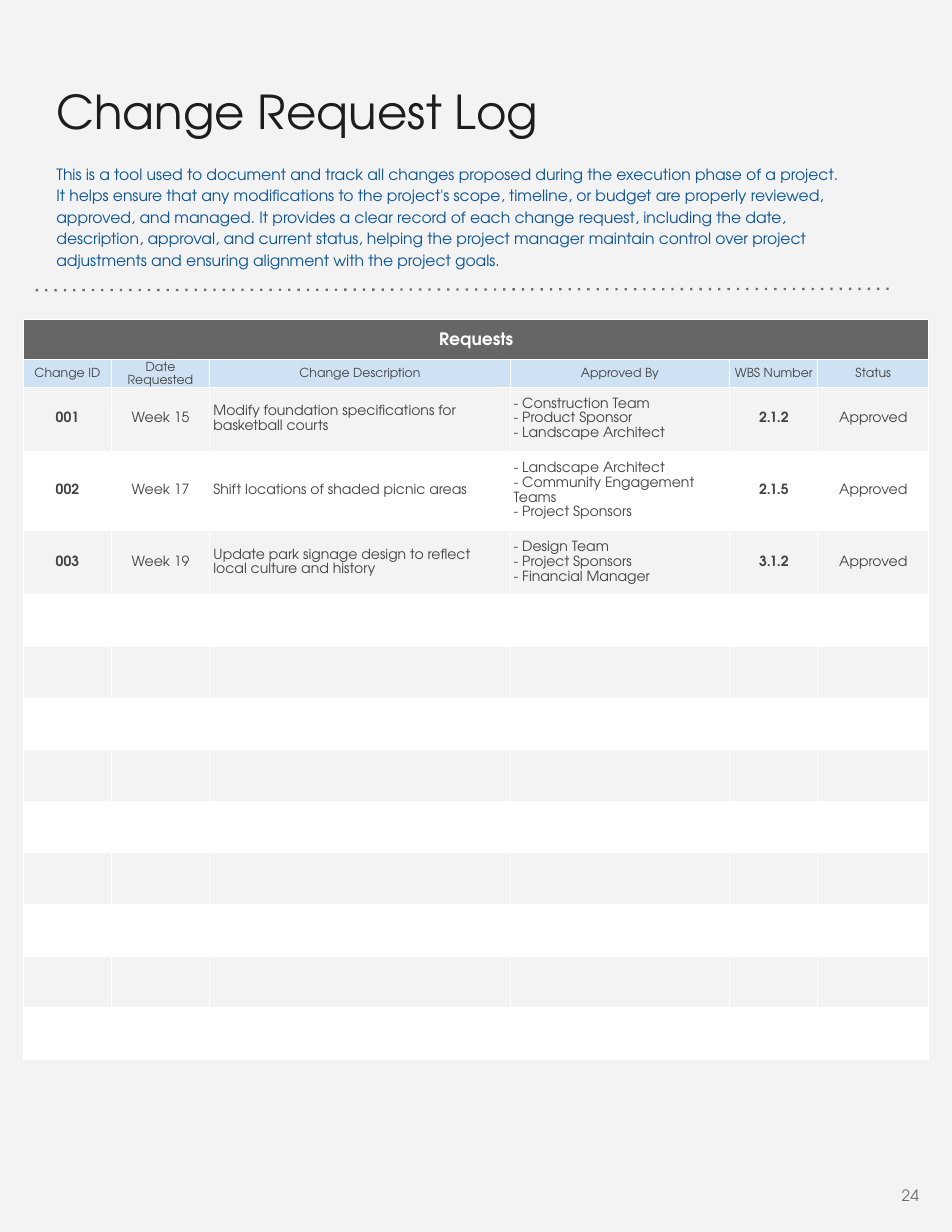
from dataclasses import dataclass

from lxml.etree import SubElement
from pptx import Presentation
from pptx.dml.color import RGBColor
from pptx.enum.shapes import MSO_CONNECTOR
from pptx.enum.text import MSO_ANCHOR, MSO_AUTO_SIZE, PP_ALIGN
from pptx.oxml import parse_xml
from pptx.oxml.ns import nsdecls, qn
from pptx.util import Cm, Pt


@dataclass(frozen=True)
class Theme:
    font: str = "TeX Gyre Adventor"
    background: str = "F3F3F3"
    white: str = "FFFFFF"
    title: str = "1D1D1D"
    intro: str = "0B5394"
    banner: str = "666666"
    heading: str = "CFE2F3"
    cell: str = "434343"
    muted: str = "6F6F6F"
    title_size: int = 30
    banner_size: int = 11
    text_size: int = 10
    cell_size: int = 9
    heading_size: int = 8


T = Theme()
INSET = 0.25
LINE_SPACING = 1.15

INTRO = (
    "This is a tool used to document and track all changes proposed during the execution phase "
    "of a project. It helps ensure that any modifications to the project's scope, timeline, or "
    "budget are properly reviewed, approved, and managed. It provides a clear record of each "
    "change request, including the date, description, approval, and current status, helping the "
    "project manager maintain control over project adjustments and ensuring alignment with the "
    "project goals."
)
HEADINGS = ["Change ID", "Date Requested", "Change Description", "Approved By", "WBS Number", "Status"]
REQUESTS = [
    ["001", "Week 15", "Modify foundation specifications for basketball courts",
     "- Construction Team\n- Product Sponsor\n- Landscape Architect", "2.1.2", "Approved"],
    ["002", "Week 17", "Shift locations of shaded picnic areas",
     "- Landscape Architect\n- Community Engagement Teams\n- Project Sponsors", "2.1.5", "Approved"],
    ["003", "Week 19", "Update park signage design to reflect local culture and history",
     "- Design Team\n- Project Sponsors\n- Financial Manager", "3.1.2", "Approved"],
]
EMPTY_ROWS = 9
COLUMN_WIDTHS = [1.98, 2.24, 6.81, 4.98, 2.0, 2.51]
ROW_HEIGHTS = [0.91, 0.61, 1.45, 1.8, 1.45] + [1.17] * EMPTY_ROWS
LEFT_COLUMNS = (2, 3)
BOLD_COLUMNS = (0, 4)


def set_text(tf, text, size, color, align=PP_ALIGN.LEFT, bold=False, spacing=1.0):
    tf.text = text
    for p in tf.paragraphs:
        p.alignment = align
        p.line_spacing = spacing
        p.space_before = Pt(0)
        p.font.name = T.font
        p.font.size = Pt(size)
        p.font.bold = bold
        p.font.color.rgb = RGBColor.from_string(color)


def place_text(sp, box, anchor, *text_args, **text_options):
    sp.left, sp.top, sp.width, sp.height = (Cm(v) for v in box)
    tf = sp.text_frame
    tf.word_wrap = True
    tf.auto_size = MSO_AUTO_SIZE.NONE
    tf.vertical_anchor = anchor
    tf.margin_left = tf.margin_right = tf.margin_top = tf.margin_bottom = Cm(INSET)
    set_text(tf, *text_args, **text_options)


def add_header(s, left, top, width):
    title_height = 1.81
    place_text(s.shapes.title, (left, top, width, title_height), MSO_ANCHOR.MIDDLE,
               "Change Request Log", T.title_size, T.title)
    place_text(s.placeholders[1], (left, top + title_height, width, 2.95), MSO_ANCHOR.TOP,
               INTRO, T.text_size, T.intro, spacing=LINE_SPACING)


def add_dotted_rule(s, left, top, width):
    rule = s.shapes.add_connector(MSO_CONNECTOR.STRAIGHT, Cm(left), Cm(top),
                                  Cm(left + width), Cm(top - 0.03))
    rule.line.color.rgb = RGBColor.from_string(T.muted)
    rule.line.width = Pt(1.5)
    SubElement(rule.line._get_or_add_ln(), qn("a:prstDash"), val="dot")
    SubElement(rule._element.spPr, qn("a:effectLst"))


def format_cell(cell, fill):
    cell.fill.solid()
    cell.fill.fore_color.rgb = RGBColor.from_string(fill)
    tcPr = cell._tc.get_or_add_tcPr()
    for i, side in enumerate(("lnL", "lnR", "lnT", "lnB")):
        tcPr.insert(i, parse_xml(
            f'<a:{side} {nsdecls("a")} w="{Pt(0.75)}"><a:solidFill>'
            f'<a:srgbClr val="{T.white}"/></a:solidFill></a:{side}>'))


def fill_cell(cell, text, margins, *text_args, **text_options):
    cell.vertical_anchor = MSO_ANCHOR.MIDDLE
    cell.margin_left = cell.margin_right = Cm(0.08)
    cell.margin_top, cell.margin_bottom = (Cm(m) for m in margins)
    set_text(cell.text_frame, text, *text_args, spacing=LINE_SPACING, **text_options)


def add_request_table(s, left, top):
    frame = s.shapes.add_table(len(ROW_HEIGHTS), len(COLUMN_WIDTHS), Cm(left), Cm(top),
                               Cm(sum(COLUMN_WIDTHS)), Cm(sum(ROW_HEIGHTS)))
    table = frame.table
    table.first_row = table.horz_banding = False
    for column, width in zip(table.columns, COLUMN_WIDTHS):
        column.width = Cm(width)
    for row, height in zip(table.rows, ROW_HEIGHTS):
        row.height = Cm(height)

    bands = [T.background, T.white]
    fills = [T.banner, T.heading] + [bands[i % 2] for i in range(len(ROW_HEIGHTS) - 2)]
    for row, fill in zip(table.rows, fills):
        for cell in row.cells:
            format_cell(cell, fill)

    table.cell(0, 0).merge(table.cell(0, len(COLUMN_WIDTHS) - 1))
    fill_cell(table.cell(0, 0), "Requests", (INSET, INSET), T.banner_size, T.white,
              PP_ALIGN.CENTER, bold=True)
    for c, heading in enumerate(HEADINGS):
        fill_cell(table.cell(1, c), heading, (0, 0), T.heading_size, T.cell, PP_ALIGN.CENTER)
    for r, request in enumerate(REQUESTS, start=2):
        for c, text in enumerate(request):
            align = PP_ALIGN.LEFT if c in LEFT_COLUMNS else PP_ALIGN.CENTER
            fill_cell(table.cell(r, c), text, (0.2, INSET), T.cell_size, T.cell, align,
                      bold=c in BOLD_COLUMNS)


def add_page_number(s, box):
    sp = s.shapes.add_textbox(*(Cm(v) for v in box))
    place_text(sp, box, MSO_ANCHOR.TOP, "24", T.text_size, T.muted, PP_ALIGN.RIGHT)


def main():
    prs = Presentation()
    prs.slide_width, prs.slide_height = Cm(21.59), Cm(27.94)
    s = prs.slides.add_slide(prs.slide_layouts[0])
    s.background.fill.solid()
    s.background.fill.fore_color.rgb = RGBColor.from_string(T.background)
    add_header(s, 1.03, 1.61, 18.3)
    add_request_table(s, 0.54, 7.25)
    add_page_number(s, (19.79, 26.64, 1.3, 2.13))
    add_dotted_rule(s, 0.81, 6.58, 19.38)
    prs.save("out.pptx")


if __name__ == "__main__":
    main()
